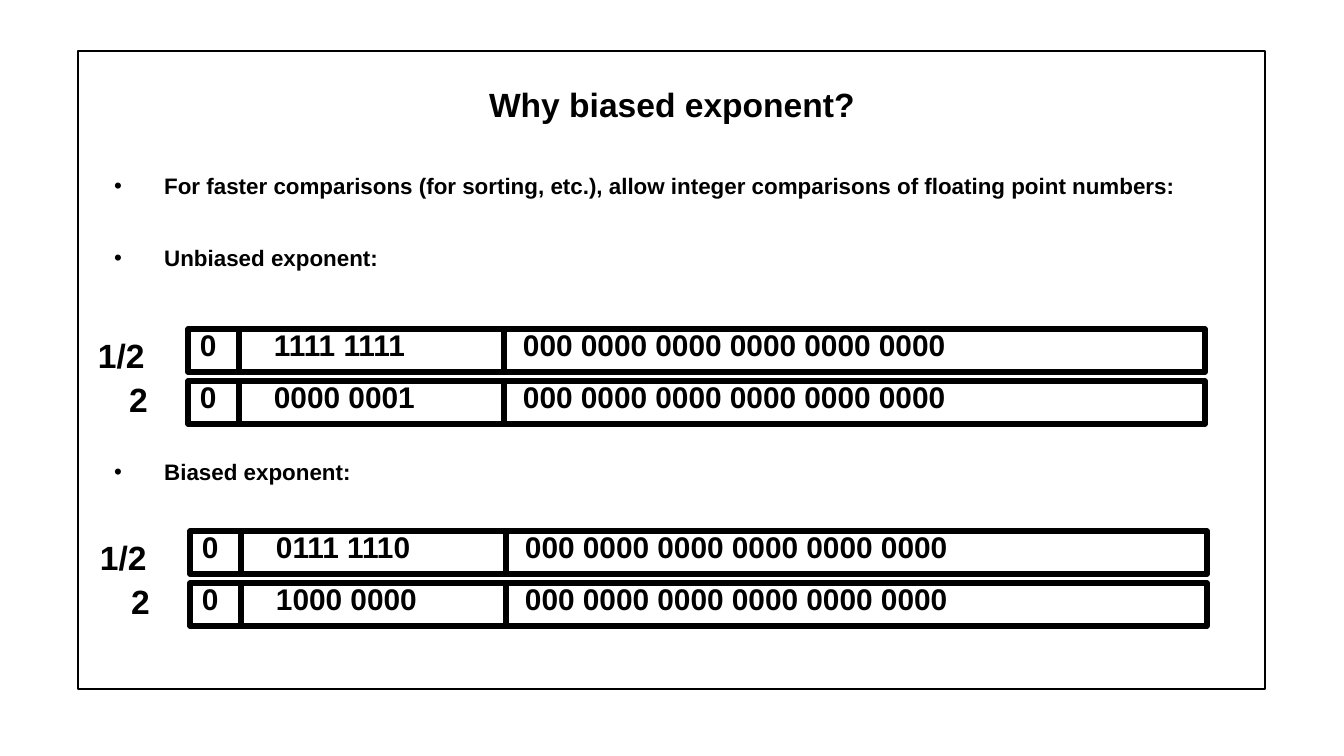
from pptx import Presentation
from pptx.dml.color import RGBColor
from pptx.enum.shapes import MSO_CONNECTOR, MSO_SHAPE
from pptx.enum.text import MSO_ANCHOR, MSO_AUTO_SIZE, PP_ALIGN
from pptx.oxml.ns import qn
from pptx.util import Pt
from lxml.etree import SubElement

UNIT = 914400 / 134.4
HUES = {"ink": "000000", "page": "FFFFFF"}
INK = RGBColor.from_string(HUES["ink"])


def scale(*sizes):
    return [round(size * UNIT) for size in sizes]


def write(para, text, size):
    run = para.add_run()
    run.text = text
    run.font.name = "Arial"
    run.font.size = Pt(size)
    run.font.bold = True
    run.font.color.rgb = INK


deck = Presentation()
deck.slide_width, deck.slide_height = scale(1344, 756)
slide = deck.slides.add_slide(deck.slide_layouts[6])
slide.background.fill.solid()
slide.background.fill.fore_color.rgb = RGBColor.from_string(HUES["page"])
shapes = slide.shapes

frame = shapes.add_shape(MSO_SHAPE.RECTANGLE, *scale(78, 51, 1187, 638))
frame.shadow.inherit = False
frame.fill.background()
frame.line.color.rgb = INK
frame.line.width = Pt(1.25)

title = shapes.add_textbox(*scale(101, 67, 1142, 74)).text_frame
title.word_wrap = True
title.vertical_anchor = MSO_ANCHOR.MIDDLE
title.paragraphs[0].alignment = PP_ALIGN.CENTER
write(title.paragraphs[0], "Why biased exponent?", 18)

points = [
    ("For faster comparisons (for sorting, etc.), allow integer comparisons of floating point numbers:", 24),
    ("Unbiased exponent:", 24),
    ("Biased exponent:", 100),
]
body = shapes.add_textbox(*scale(101, 166, 1142, 508)).text_frame
body.word_wrap = True
for place, (text, gap) in enumerate(points):
    para = body.add_paragraph() if place else body.paragraphs[0]
    if place:
        para.space_before = Pt(gap)
    props = para._p.get_or_add_pPr()
    indent = scale(50)[0]
    props.set("marL", str(indent))
    props.set("indent", str(-indent))
    SubElement(props, qn("a:buFont"), typeface="Arial")
    SubElement(props, qn("a:buChar"), char="•")
    write(para, text, 12)

groups = [
    (188, 329, [("1111 1111", 157), ("0000 0001", 167)]),
    (190, 531, [("0111 1110", 160), ("1000 0000", 167)]),
]
for left, top, rows in groups:
    labels = [
        ("1/2", left - 102, top + 2, 71, 51, 18),
        ("2", left - 71, top + 46, 43, 51, 18),
    ]
    for step, (power, wide) in enumerate(rows):
        y = top + 52 * step
        box = shapes.add_shape(MSO_SHAPE.ROUNDED_RECTANGLE, *scale(left, y, 1017, 43))
        box.adjustments[0] = 0
        box.shadow.inherit = False
        box.fill.background()
        box.line.color.rgb = INK
        box.line.width = Pt(3)
        for x in (left + 51, left + 316):
            split = shapes.add_connector(MSO_CONNECTOR.STRAIGHT, *scale(x, y, x, y + 44))
            split.line.color.rgb = INK
            split.line.width = Pt(3)
            SubElement(split._element.spPr, qn("a:effectLst"))
        labels += [
            ("0", left, y - 6, 42, 47, 16),
            (power, left + 74, y - 6, wide, 47, 16),
            ("000 0000 0000 0000 0000 0000", left + 323, y - 6, 452, 47, 16),
        ]
    for text, x, y, wide, high, size in labels:
        label = shapes.add_textbox(*scale(x, y, wide, high)).text_frame
        label.word_wrap = False
        label.auto_size = MSO_AUTO_SIZE.SHAPE_TO_FIT_TEXT
        label.vertical_anchor = MSO_ANCHOR.MIDDLE
        label.margin_left, label.margin_right = scale(12, 12)
        label.paragraphs[0].line_spacing = 0.96
        write(label.paragraphs[0], text, size)

deck.save("out.pptx")
